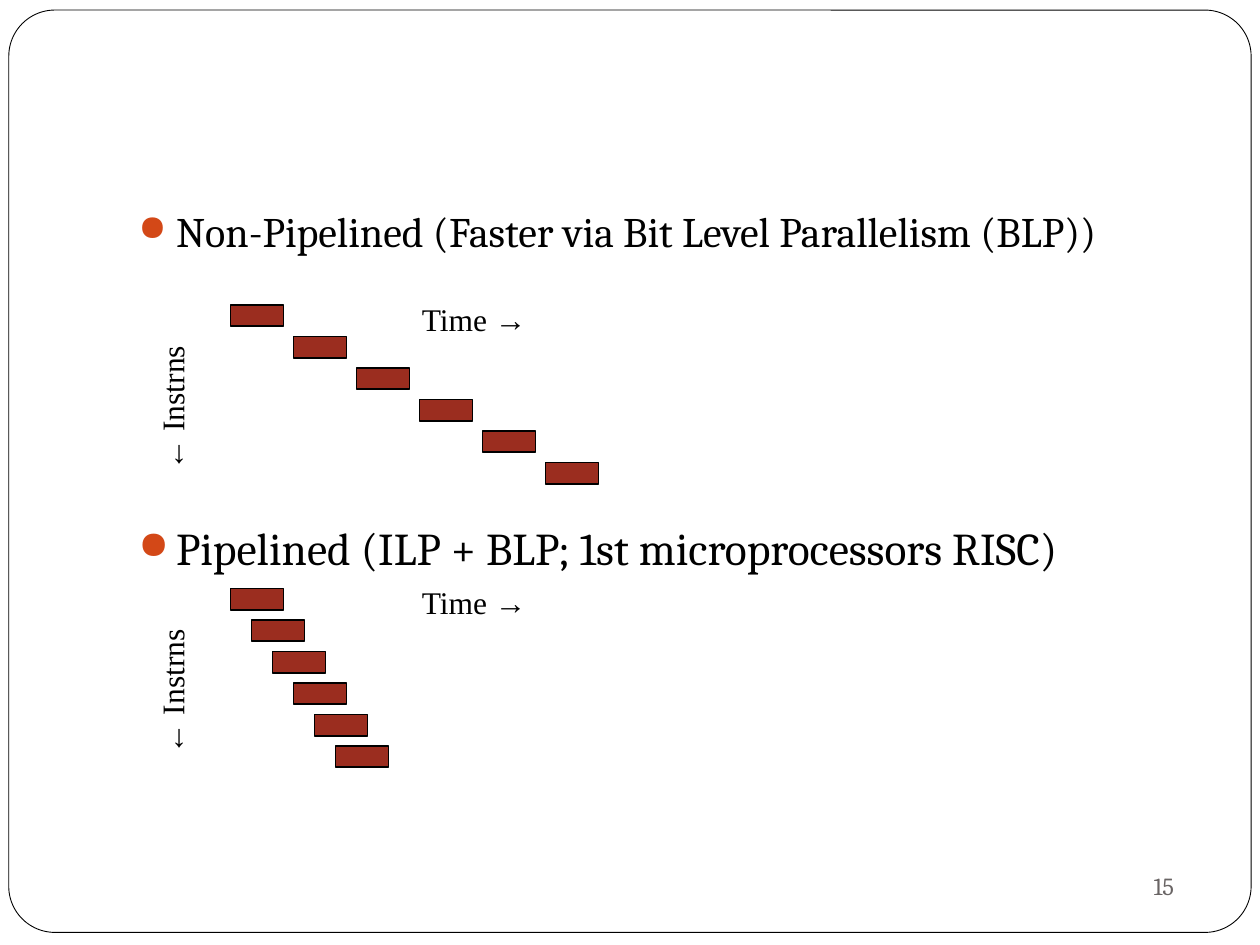
"""Build a slide comparing non-pipelined and pipelined instruction timing."""
from lxml import etree
from pptx import Presentation
from pptx.dml.color import RGBColor
from pptx.enum.shapes import MSO_SHAPE as Preset
from pptx.enum.text import MSO_ANCHOR as Anchor, PP_ALIGN as Align
from pptx.oxml.ns import qn
from pptx.util import Inches, Pt

COLORS = {"paper": "FFFFFF", "ink": "000000", "bar": "9B2D1F", "bullet": "D34817", "number": "696464"}


def add_shape(parent, preset, place, fill, width):
    shape = parent.shapes.add_shape(preset, *[Inches(value) for value in place])
    shape.shadow.inherit = False
    shape.fill.solid()
    shape.fill.fore_color.rgb = RGBColor.from_string(COLORS[fill])
    shape.line.color.rgb = RGBColor.from_string(COLORS["ink"])
    shape.line.width = Pt(width)
    return shape


def add_text(parent, place, lines, sizes, font, color="ink"):
    box = parent.shapes.add_textbox(*[Inches(value) for value in place])
    box.text_frame.word_wrap = True
    box.text_frame.text = "\n".join(lines)
    for para, size in zip(box.text_frame.paragraphs, sizes):
        span = para.runs[0].font
        span.name, span.size = font, Pt(size)
        span.color.rgb = RGBColor.from_string(COLORS[color])
    return box


deck = Presentation()
deck.slide_width, deck.slide_height = Inches(10), Inches(7.5)
page = deck.slides.add_slide(deck.slide_layouts[6])

frame = add_shape(page, Preset.ROUNDED_RECTANGLE, (0.07, 0.08, 9.86, 7.32), "paper", 0.5)
frame.adjustments[0] = 0.05

number = add_text(page, (6.75, 6.77, 2.71, 0.52), ["15 "], [14], "Cambria", "number")
number.text_frame.vertical_anchor = Anchor.MIDDLE
number.text_frame.paragraphs[0].alignment = Align.RIGHT

headings = [
    "Non-Pipelined (Faster via Bit Level Parallelism (BLP))",
    "Pipelined (ILP + BLP; 1st microprocessors RISC)",
]
body = add_text(page, (1, 1.58, 8.5, 5), headings, [24, 26], "Cambria")
for para, gap in zip(body.text_frame.paragraphs, [5.8, 151]):
    para.space_before = Pt(gap)
    props = para._p.get_or_add_pPr()
    props.set("marL", str(Inches(0.3)))
    props.set("indent", str(Inches(-0.3)))
    tint = etree.SubElement(props, qn("a:buClr"))
    etree.SubElement(tint, qn("a:srgbClr"), val=COLORS["bullet"])
    etree.SubElement(props, qn("a:buSzPct"), val="85000")
    etree.SubElement(props, qn("a:buChar"), char="●")

for top, step in [(4.67, 1 / 6), (2.42, 0.5)]:
    diagram = page.shapes.add_group_shape()
    for index in range(6):
        place = (1.83 + index * step, top + index * 0.25, 0.42, 0.17)
        add_shape(diagram, Preset.RECTANGLE, place, "bar", 1)
    add_text(diagram, (3.25, top - 0.09, 1.17, 0.4), ["Time →"], [18], "Times New Roman")
    axis = add_text(diagram, (0.76, top + 0.61, 1.21, 0.4), ["← Instrns"], [18], "Times New Roman")
    axis.rotation = 270

deck.save("out.pptx")
